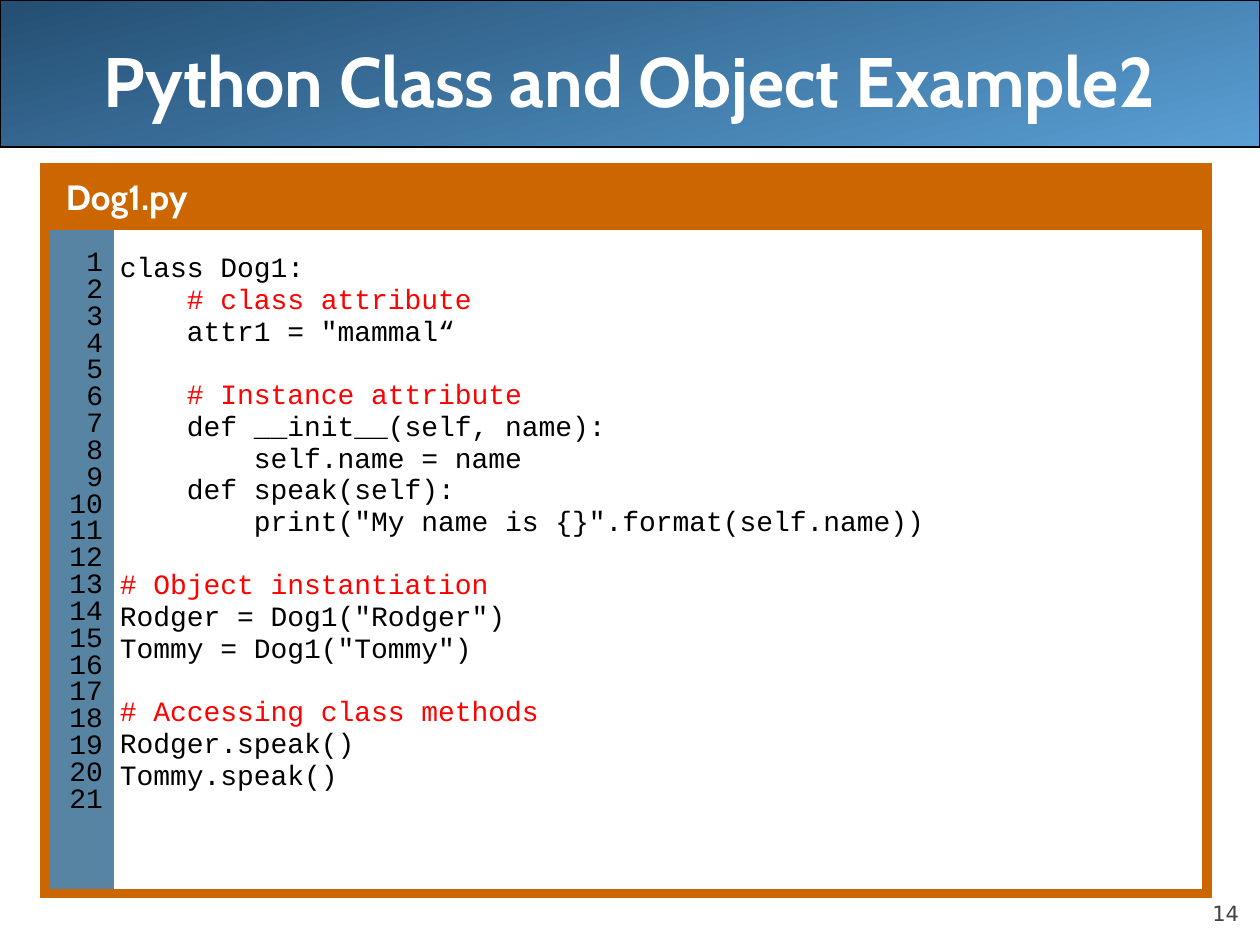
from lxml import etree
from pptx import Presentation
from pptx.dml.color import RGBColor
from pptx.enum.shapes import MSO_SHAPE as Shape
from pptx.enum.text import MSO_ANCHOR as Anchor, MSO_AUTO_SIZE as AutoSize, PP_ALIGN as Align
from pptx.oxml.ns import qn
from pptx.util import Emu, Pt

PX = 914400 / 126
WHITE = RGBColor(0xFF, 0xFF, 0xFF)
BLACK = RGBColor(0x00, 0x00, 0x00)
RED = RGBColor(0xFF, 0x00, 0x00)
GRAY = RGBColor(0x42, 0x42, 0x42)
ORANGE = RGBColor(0xCC, 0x66, 0x00)
STEEL = RGBColor(0x57, 0x84, 0xA3)
NAVY = RGBColor(0x24, 0x4E, 0x72)
SKY = RGBColor(0x5A, 0x9F, 0xD4)

LINE_COUNT = 21
INDENT = 67  # four monospaced characters
CODE_LINE = Pt(18.1)
# (indent level, blank lines before, text)
CODE = [
    (0, 0, "class Dog1:"),
    (1, 0, "# class attribute"),
    (1, 0, 'attr1 = "mammal“'),
    (1, 1, "# Instance attribute"),
    (1, 0, "def __init__(self, name):"),
    (2, 0, "self.name = name"),
    (1, 0, "def speak(self):"),
    (2, 0, 'print("My name is {}".format(self.name))'),
    (0, 1, "# Object instantiation"),
    (0, 0, 'Rodger = Dog1("Rodger")'),
    (0, 0, 'Tommy = Dog1("Tommy")'),
    (0, 1, "# Accessing class methods"),
    (0, 0, "Rodger.speak()"),
    (0, 0, "Tommy.speak()"),
]


def px(*lengths):
    return [Emu(round(length * PX)) for length in lengths]


def style(paragraph, font_name, size, color, bold=False, indent=0):
    """Format every run and set the left margin in px."""
    paragraph._p.get_or_add_pPr().set("marL", str(px(indent)[0]))
    for run in paragraph.runs:
        font = run.font
        font.name, font.size, font.bold = font_name, Pt(size), bold
        font.color.rgb = color


presentation = Presentation()
presentation.slide_width, presentation.slide_height = px(1260, 945)
slide = presentation.slides.add_slide(presentation.slide_layouts[5])

# Title on a gradient band
band = slide.shapes.add_shape(Shape.ROUNDED_RECTANGLE, *px(0, 0, 1260, 147))
band.adjustments[0] = 0
band.shadow.inherit = False
band.fill.gradient()
band.fill.gradient_angle = 285
for stop, color in zip(band.fill.gradient_stops, (NAVY, SKY)):
    stop.color.rgb = color
band.line.color.rgb = BLACK
band.line.width = Pt(0.75)
slide.shapes._spTree.insert(2, band._element)

title = slide.shapes.title
title.left, title.top, title.width, title.height = px(0, 0, 1260, 158)
title_frame = title.text_frame
title_frame.text = "Python Class and Object Example2"
title_frame.auto_size = AutoSize.NONE
title_frame.vertical_anchor = Anchor.MIDDLE
title_frame.paragraphs[0].alignment = Align.CENTER
style(title_frame.paragraphs[0], "Cabin", 40, WHITE, bold=True)

# Code listing
table = slide.shapes.add_table(2, 2, *px(45, 168, 1162, 721)).table
table.first_row = table.horz_banding = False
for column, width in zip(table.columns, px(69, 1093)):
    column.width = width
for row, height in zip(table.rows, px(53, 668)):
    row.height = height
header, numbers, code = table.cell(0, 0), table.cell(1, 0), table.cell(1, 1)
header.merge(table.cell(0, 1))

for cell, color, margins, sides in (
    (header, ORANGE, (6, 6, 6, 6), "LRTB"),
    (table.cell(0, 1), ORANGE, (6, 6, 6, 6), "LRTB"),
    (numbers, STEEL, (6, 29, 11, 29), "LTB"),
    (code, WHITE, (6, 29, 23, 29), "RTB"),
):
    cell.fill.solid()
    cell.fill.fore_color.rgb = color
    cell.margin_left, cell.margin_top, cell.margin_right, cell.margin_bottom = px(*margins)
    properties = cell._tc.get_or_add_tcPr()
    for position, side in enumerate("LRTB"):
        border = etree.Element(qn(f"a:ln{side}"), w=str(Pt(6)))
        if side in sides:
            solid = etree.SubElement(border, qn("a:solidFill"))
            etree.SubElement(solid, qn("a:srgbClr"), val=str(ORANGE))
        else:
            etree.SubElement(border, qn("a:noFill"))
        properties.insert(position, border)

header.text_frame.text = "Dog1.py"
paragraph = header.text_frame.paragraphs[0]
paragraph.line_spacing = 1.07
paragraph.space_before = Pt(4)
style(paragraph, "Cabin", 20, WHITE, bold=True, indent=15)

numbers.text_frame.text = "\n".join(str(n) for n in range(1, LINE_COUNT + 1))
for paragraph in numbers.text_frame.paragraphs:
    paragraph.alignment = Align.RIGHT
    paragraph.line_spacing = 0.67
    paragraph.space_before = Pt(3.2)
    style(paragraph, "Courier New", 16, BLACK, indent=15)

code.text_frame.text = "\n".join(text for _, _, text in CODE)
for paragraph, (level, blank_lines, text) in zip(code.text_frame.paragraphs, CODE):
    paragraph.space_before = Emu(blank_lines * CODE_LINE)
    color = RED if text.startswith("#") else BLACK
    style(paragraph, "Courier New", 16, color, indent=level * INDENT)

# Slide number
number_frame = slide.shapes.add_textbox(*px(1134, 876, 105, 50)).text_frame
number_frame.word_wrap = True
number_frame.margin_left = number_frame.margin_right = 0
number_frame.margin_top = number_frame.margin_bottom = 0
number_frame.vertical_anchor = Anchor.BOTTOM
number_frame.text = "14"
number_frame.paragraphs[0].alignment = Align.RIGHT
style(number_frame.paragraphs[0], "DejaVu Sans", 12, GRAY)

presentation.save("out.pptx")
